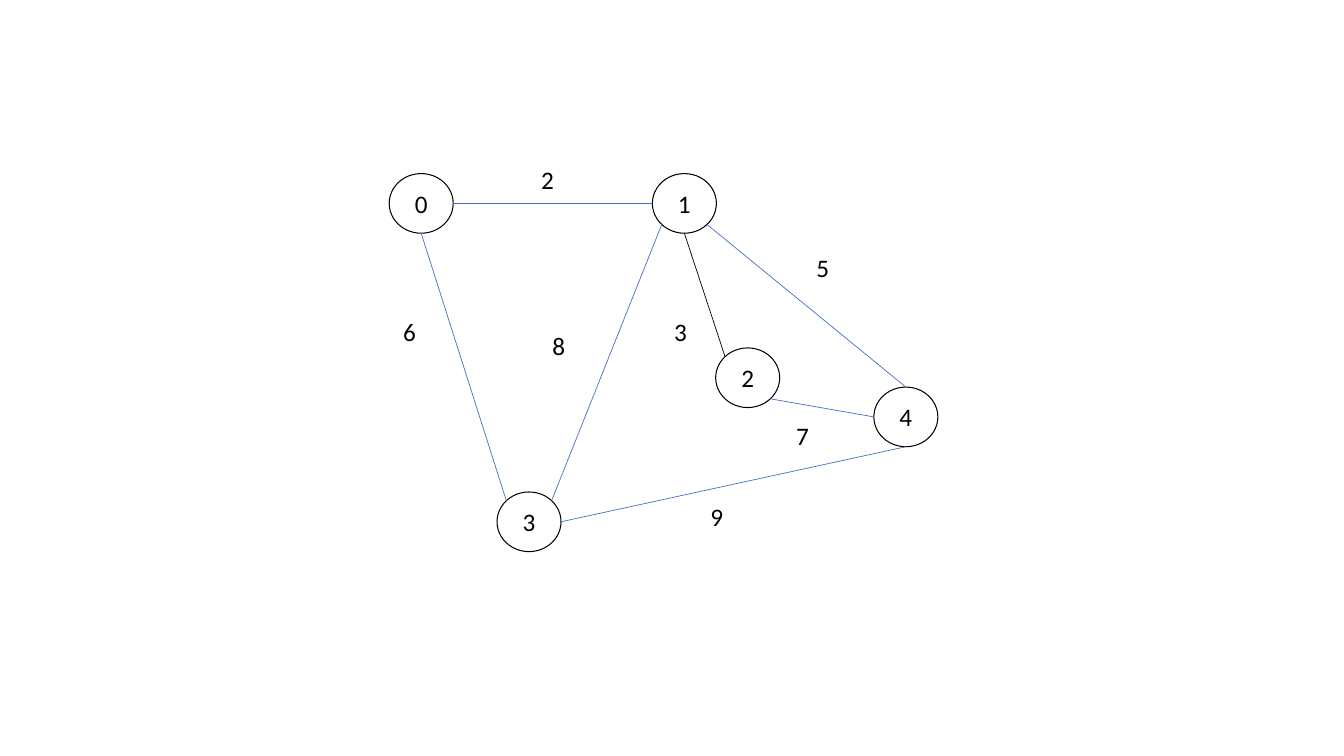
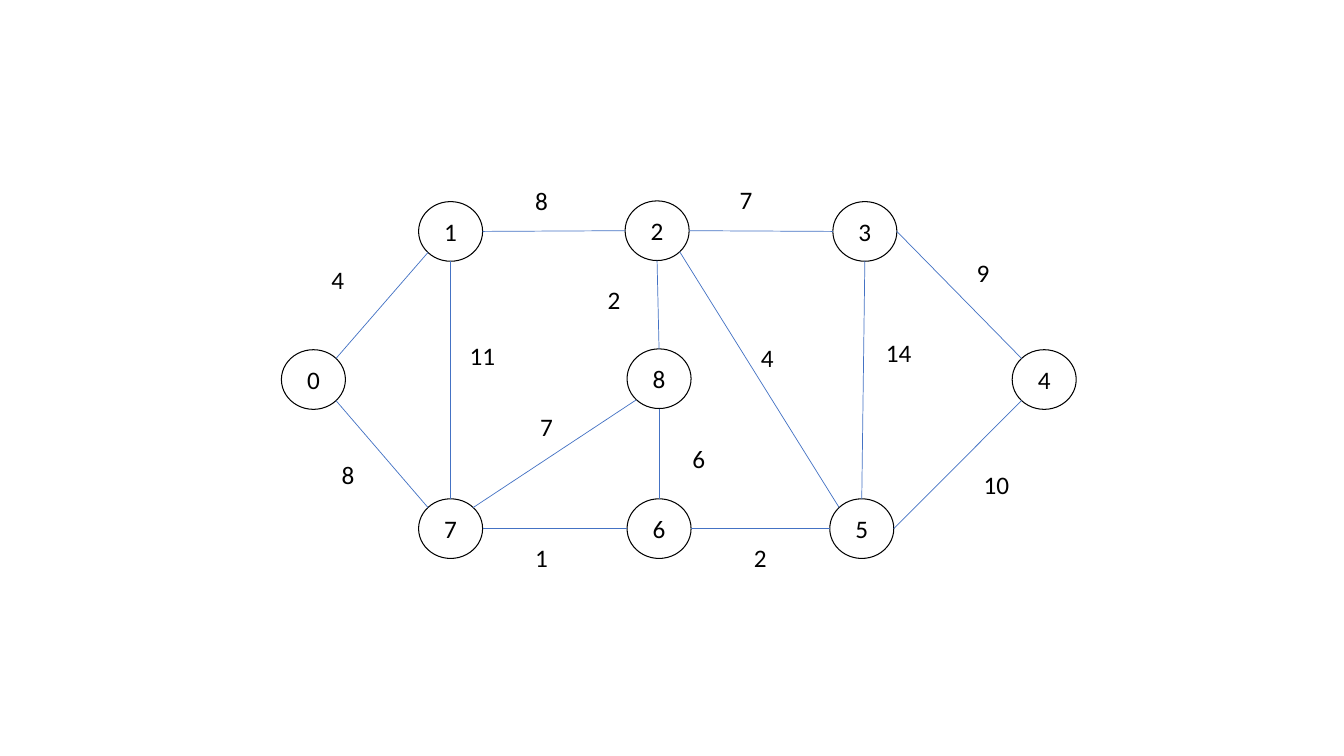
from math import cos, radians, sin
from pptx import Presentation
from pptx.dml.color import RGBColor
from pptx.enum import shapes, text
from pptx.oxml.ns import qn
from pptx.util import Pt
from lxml import etree

HUES = {"ink": "000000", "edge": "4472C4"}
WIDE, HIGH = 45.72, 42.6  # node size
SIDES = ["E", "SE", "S", "SW", "W", "NW", "N", "NE"]  # 45 degrees apart

# nodes: name -> left, top
# edges: node, side, node, side, weight, label left, label top, colour
GRAPHS = [
    {
        "nodes": {
            "0": (278, 124), "1": (466, 124), "2": (511.2, 248.5),
            "3": (355, 351.4), "4": (624.2, 276.5),
        },
        "edges": [
            ("0", "E", "1", "W", "2", 379.4, 113.8, "edge"),
            ("0", "S", "3", "NW", "6", 280.8, 222.5, "edge"),
            ("1", "S", "2", "NW", "3", 474.5, 222.5, "ink"),
            ("1", "SE", "4", "N", "5", 576, 176.4, "edge"),
            ("1", "SW", "3", "NE", "8", 387.4, 232.6, "edge"),
            ("2", "SE", "4", "W", "7", 561.6, 296.6, "edge"),
            ("3", "E", "4", "S", "9", 500.4, 354.2, "edge"),
        ],
    },
    {
        "nodes": {
            "0": (201, 249.8), "1": (299, 144), "2": (446.5, 143.5),
            "3": (594.9, 144), "4": (723, 249.8), "5": (592.7, 356.3),
            "6": (447.9, 356.3), "7": (299, 356.3), "8": (447.9, 249.2),
        },
        "edges": [
            ("0", "NE", "1", "SW", "4", 229.7, 185, "edge"),
            ("0", "SE", "7", "NW", "8", 236.9, 324.7, "edge"),
            ("1", "E", "2", "W", "8", 375.1, 128.9, "edge"),
            ("1", "S", "7", "N", "11", 328.3, 239.8, "edge"),
            ("2", "E", "3", "W", "7", 521.3, 128.2, "edge"),
            ("2", "S", "8", "N", "2", 427, 199.4, "edge"),
            ("2", "SE", "5", "NW", "4", 536.4, 241.2, "edge"),
            ("3", "E", "4", "NW", "9", 690.5, 180, "edge"),
            ("5", "N", "3", "S", "14", 625.7, 237.6, "edge"),
            ("5", "E", "4", "SW", "10", 695.5, 331.9, "edge"),
            ("6", "E", "5", "W", "2", 531.4, 383.8, "edge"),
            ("7", "E", "6", "W", "1", 375.1, 383.8, "edge"),
            ("7", "NE", "8", "SW", "7", 378.7, 290.2, "edge"),
            ("8", "S", "6", "N", "6", 487.4, 313.2, "edge"),
        ],
    },
]


def write(shape, words, align):
    """Put one line of text into a shape."""
    frame = shape.text_frame
    frame.word_wrap = True
    para = frame.paragraphs[0]
    para.alignment = align
    run = para.add_run()
    run.text = words
    run.font.size = Pt(18)
    run.font.name = "Calibri"
    run.font.color.rgb = RGBColor.from_string(HUES["ink"])


def rim(node, side):
    """Return the point on a node's outline at a compass side."""
    left, top = node
    turn = radians(45 * SIDES.index(side))
    return (Pt(left + WIDE / 2 * (1 + cos(turn))),
            Pt(top + HIGH / 2 * (1 + sin(turn))))


deck = Presentation()
deck.slide_width, deck.slide_height = Pt(960), Pt(540)

for graph in GRAPHS:
    slide = deck.slides.add_slide(deck.slide_layouts[6])
    nodes = graph["nodes"]

    for name, (left, top) in nodes.items():
        node = slide.shapes.add_shape(
            shapes.MSO_SHAPE.OVAL, Pt(left), Pt(top), Pt(WIDE), Pt(HIGH))
        node.shadow.inherit = False
        node.fill.background()
        node.line.color.rgb = RGBColor.from_string(HUES["ink"])
        node.line.width = Pt(0.75)
        node.text_frame.vertical_anchor = text.MSO_ANCHOR.MIDDLE
        write(node, name, text.PP_ALIGN.CENTER)

    for start, out, end, into, weight, left, top, hue in graph["edges"]:
        edge = slide.shapes.add_connector(
            shapes.MSO_CONNECTOR.STRAIGHT,
            *rim(nodes[start], out), *rim(nodes[end], into))
        edge.line.color.rgb = RGBColor.from_string(HUES[hue])
        edge.line.width = Pt(0.5)
        etree.SubElement(edge._element.spPr, qn("a:effectLst"))

        label = slide.shapes.add_textbox(Pt(left), Pt(top), Pt(34.2), Pt(29.1))
        write(label, weight, text.PP_ALIGN.LEFT)

deck.save("out.pptx")
